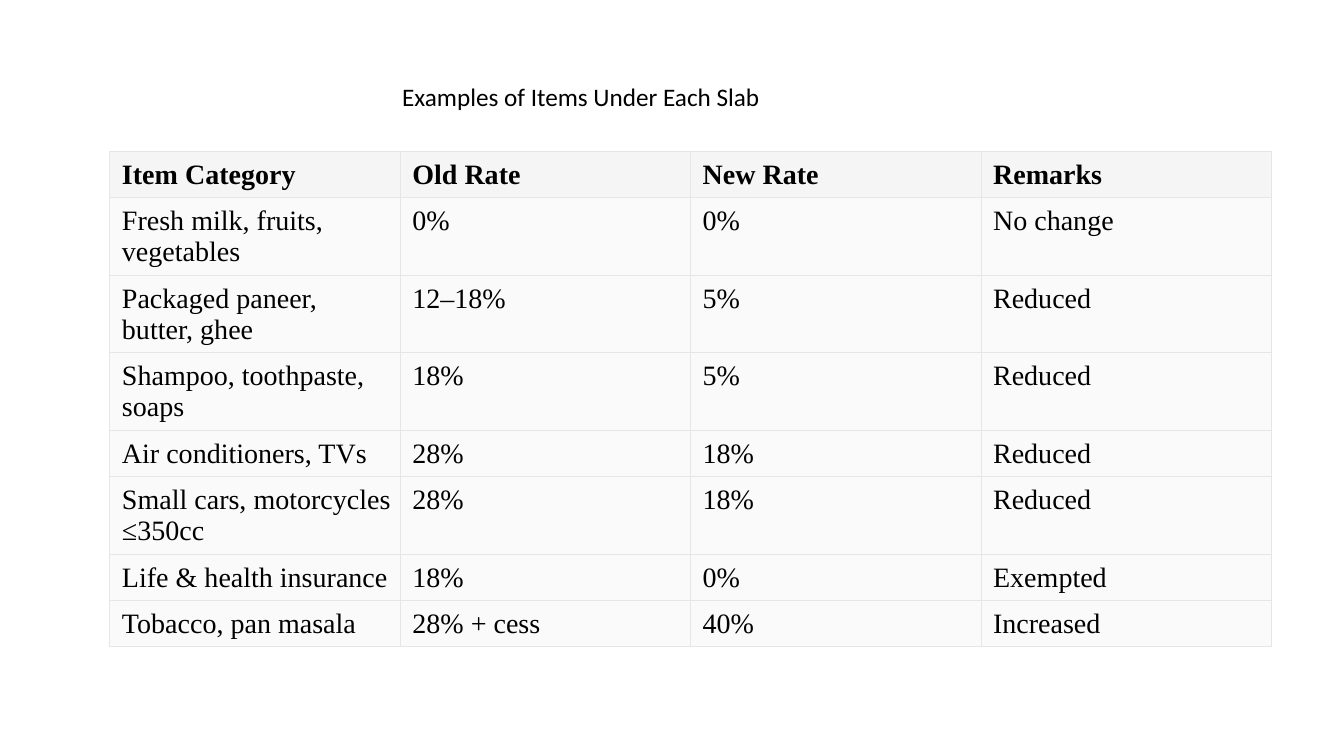
from typing import NamedTuple

from lxml import etree
from pptx import Presentation
from pptx.dml.color import RGBColor
from pptx.oxml.ns import qn
from pptx.util import Inches, Pt

BLACK = RGBColor(0x00, 0x00, 0x00)
HEADER_FILL = RGBColor(0xF5, 0xF5, 0xF5)
BODY_FILL = RGBColor(0xFA, 0xFA, 0xFA)
BORDER = RGBColor(0xE6, 0xE6, 0xE6)

COLUMN_WIDTH = 2.88
LINE_HEIGHT = 0.31
ROW_PADDING = 0.15


class RateRow(NamedTuple):
    category: str
    old_rate: str
    new_rate: str
    remarks: str


HEADER = RateRow("Item Category", "Old Rate", "New Rate", "Remarks")
ITEMS = [
    RateRow("Fresh milk, fruits, vegetables", "0%", "0%", "No change"),
    RateRow("Packaged paneer, butter, ghee", "12–18%", "5%", "Reduced"),
    RateRow("Shampoo, toothpaste, soaps", "18%", "5%", "Reduced"),
    RateRow("Air conditioners, TVs", "28%", "18%", "Reduced"),
    RateRow("Small cars, motorcycles ≤350cc", "28%", "18%", "Reduced"),
    RateRow("Life & health insurance", "18%", "0%", "Exempted"),
    RateRow("Tobacco, pan masala", "28% + cess", "40%", "Increased"),
]


def row_height(row: RateRow) -> float:
    lines = 2 if len(row.category) > 24 else 1
    return ROW_PADDING + lines * LINE_HEIGHT


def add_borders(cell) -> None:
    properties = cell._tc.get_or_add_tcPr()
    for index, side in enumerate(("a:lnL", "a:lnR", "a:lnT", "a:lnB")):
        line = etree.Element(qn(side), w=str(Pt(0.75)))
        fill = etree.SubElement(line, qn("a:solidFill"))
        etree.SubElement(fill, qn("a:srgbClr"), val=str(BORDER))
        properties.insert(index, line)


def fill_cell(cell, text: str, is_header: bool) -> None:
    cell.margin_left = Inches(0.12)
    cell.margin_top = cell.margin_right = Inches(0.08)
    cell.margin_bottom = Inches(0.07)
    cell.fill.solid()
    cell.fill.fore_color.rgb = HEADER_FILL if is_header else BODY_FILL
    add_borders(cell)
    cell.text_frame.text = text
    font = cell.text_frame.paragraphs[0].runs[0].font
    font.name = "Times New Roman"
    font.size = Pt(20)
    font.bold = is_header
    font.color.rgb = BLACK


def add_rate_table(page) -> None:
    rows = [HEADER, *ITEMS]
    heights = [row_height(row) for row in rows]
    column_count = len(HEADER)
    table = page.shapes.add_table(
        len(rows), column_count, Inches(1.09), Inches(1.5),
        Inches(column_count * COLUMN_WIDTH), Inches(sum(heights)),
    ).table
    table.horz_banding = False
    for column in table.columns:
        column.width = Inches(COLUMN_WIDTH)
    for row_index, row in enumerate(rows):
        table.rows[row_index].height = Inches(heights[row_index])
        for column_index, text in enumerate(row):
            fill_cell(table.cell(row_index, column_index), text, row_index == 0)


def add_title(page) -> None:
    box = page.shapes.add_textbox(Inches(3.89), Inches(0.76), Inches(6.66), Inches(0.4))
    box.text_frame.word_wrap = True
    box.text_frame.text = "Examples of Items Under Each Slab"
    font = box.text_frame.paragraphs[0].runs[0].font
    font.name = "Calibri"
    font.size = Pt(18)
    font.color.rgb = BLACK


def main() -> None:
    deck = Presentation()
    deck.slide_width = Inches(13.33)
    deck.slide_height = Inches(7.5)
    page = deck.slides.add_slide(deck.slide_layouts[6])
    add_rate_table(page)
    add_title(page)
    deck.save("out.pptx")


if __name__ == "__main__":
    main()
